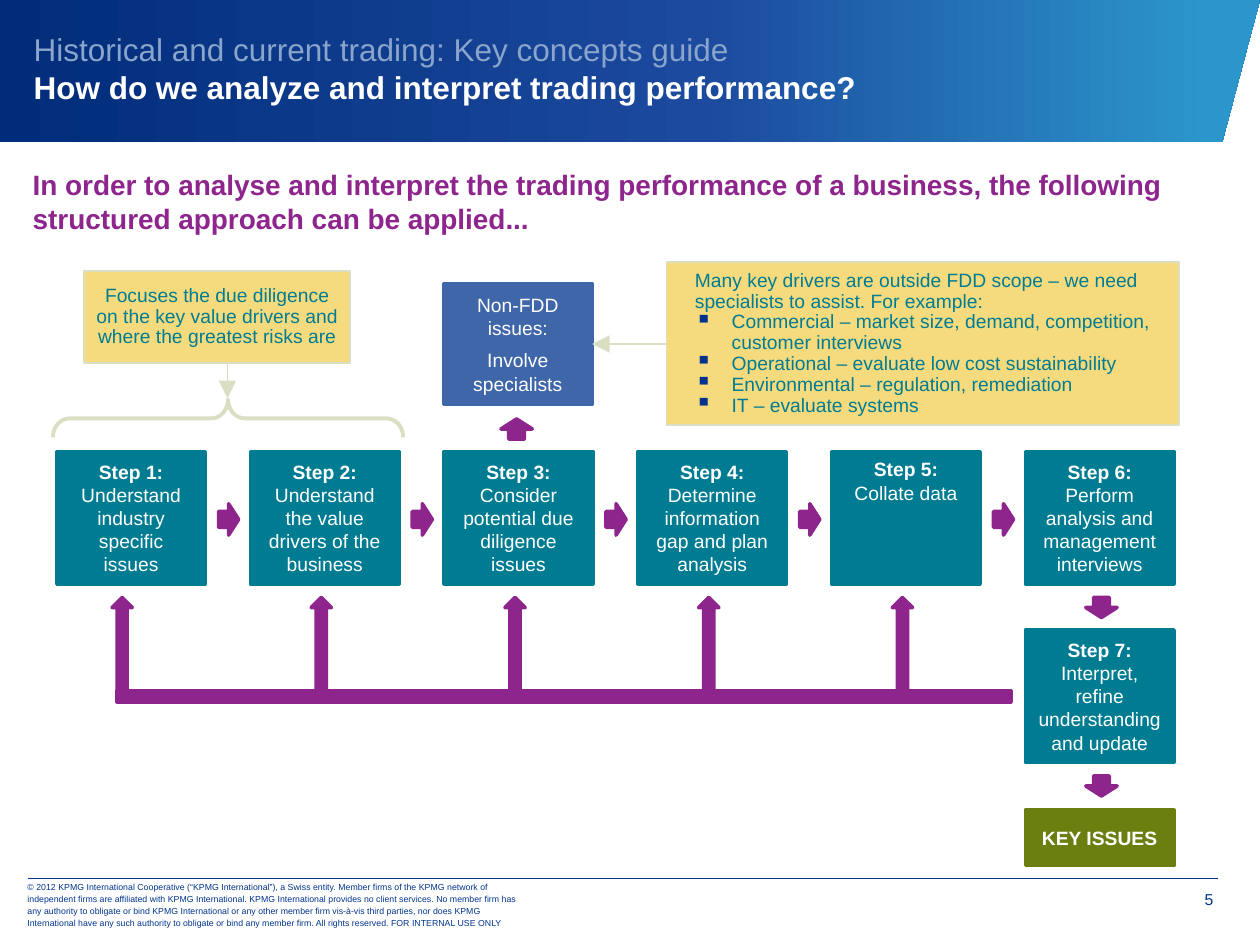
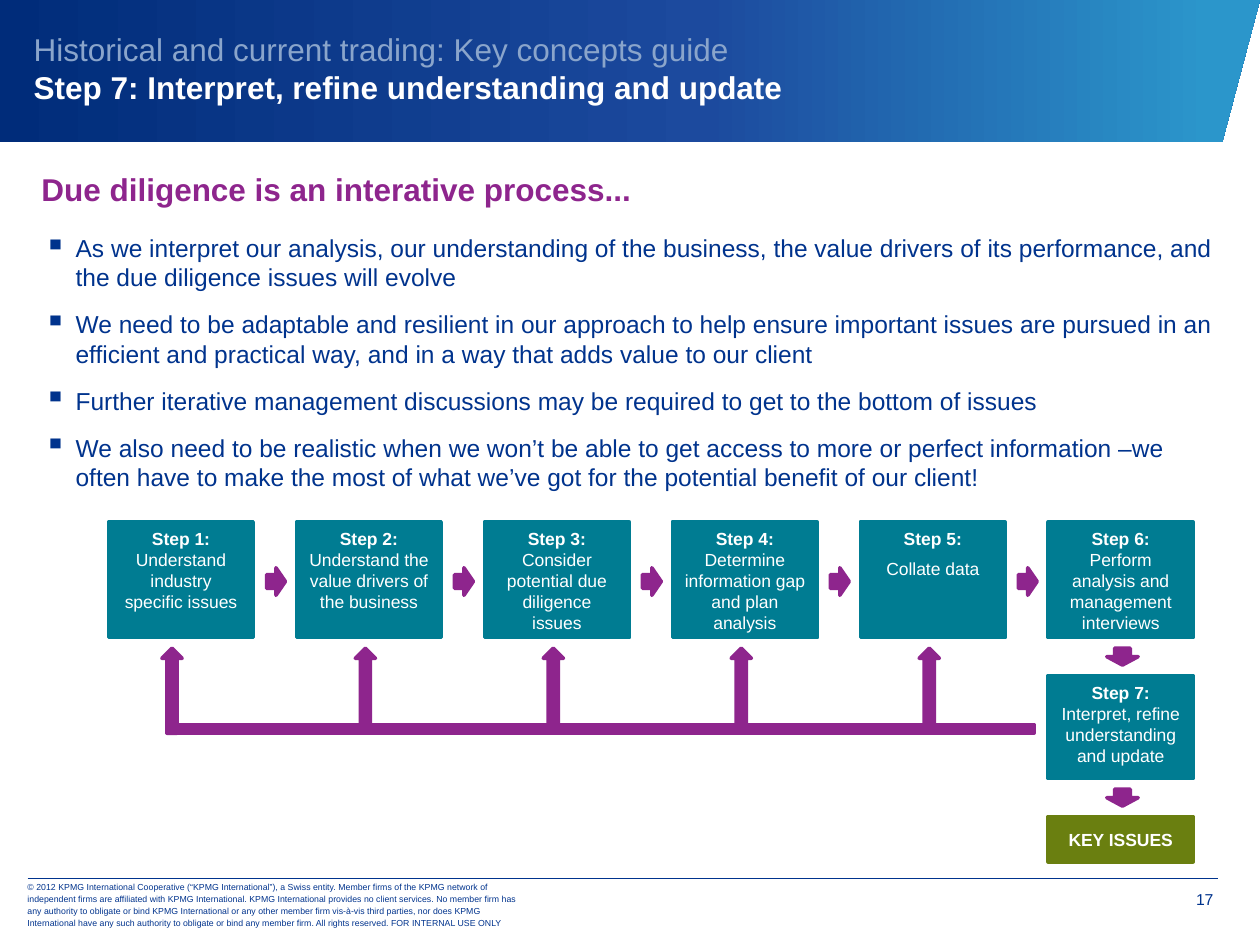
import copy
import dataclasses

import pptx
import pptx.dml.color
import pptx.enum.shapes
import pptx.enum.text
import pptx.oxml
import pptx.oxml.ns
import pptx.util

Pt = pptx.util.Pt
Shape = pptx.enum.shapes.MSO_SHAPE
Anchor = pptx.enum.text.MSO_ANCHOR
Align = pptx.enum.text.PP_ALIGN
qn = pptx.oxml.ns.qn

SECTION = "Historical and current trading: Key concepts guide"
COPYRIGHT = (
    "© 2012 KPMG International Cooperative (“KPMG International”), a Swiss entity. "
    "Member firms of the KPMG network of independent firms are affiliated with KPMG "
    "International. KPMG International provides no client services. No member firm has any "
    "authority to obligate or bind KPMG International or any other member firm vis-à-vis third "
    "parties, nor does KPMG International have any such authority to obligate or bind any "
    "member firm. All rights reserved. FOR INTERNAL USE ONLY"
)
STEPS = [
    "Understand industry specific issues",
    "Understand the value drivers of the business",
    "Consider potential due diligence issues",
    "Determine information gap and plan analysis",
    "Collate data",
    "Perform analysis and management interviews",
    "Interpret, refine understanding and update",
]
DRIVERS = [
    "Many key drivers are outside FDD scope – we need specialists to assist. For example:",
    "Commercial – market size, demand, competition, customer interviews",
    "Operational – evaluate low cost sustainability",
    "Environmental – regulation, remediation",
    "IT – evaluate systems",
]
ITERATION_POINTS = [
    "As we interpret our analysis, our understanding of the business, the value drivers of its "
    "performance, and the due diligence issues will evolve",
    "We need to be adaptable and resilient in our approach to help ensure important issues are "
    "pursued in an efficient and practical way, and in a way that adds value to our client",
    "Further iterative management discussions may be required to get to the bottom of issues",
    "We also need to be realistic when we won’t be able to get access to more or perfect "
    "information –we often have to make the most of what we’ve got for the potential benefit "
    "of our client!",
]


@dataclasses.dataclass(frozen=True)
class Theme:
    font: str = "Arial"
    navy: str = "00338D"
    purple: str = "8E258D"
    teal: str = "007C92"
    blue: str = "4066AA"
    olive: str = "6A7F10"
    yellow: str = "F5DB7E"
    sage: str = "DADFC3"
    pale: str = "8AA5CB"
    white: str = "FFFFFF"
    band: tuple = ((0, "002C7A"), (0.56, "1C4A9E"), (0.96, "2B96CB"))
    title: float = 18
    lead: float = 16
    body: float = 14
    note: float = 11
    compact: float = 10
    page: float = 9
    legal: float = 5


@dataclasses.dataclass(frozen=True)
class Flow:
    """Measures of the seven-step diagram, in points."""
    left: float
    pitch: float
    top: float
    width: float
    height: float
    arrow: tuple       # width and height of the arrow between two steps
    down: float        # height of the arrows in the last column
    down_gap: float
    bus_top: float
    bus_height: float
    last_top: float
    last_height: float
    result_top: float
    result_height: float
    size: float
    anchor: Anchor
    collate_break: str  # "\v" for a new line, "\n" for a new paragraph


def rgb(value):
    return pptx.dml.color.RGBColor.from_string(value)


class Deck:
    def __init__(self, theme):
        self.theme = theme
        self.presentation = pptx.Presentation()
        self.presentation.slide_width = Pt(720)
        self.presentation.slide_height = Pt(540)
        self.slide = None

    def new_slide(self, heading, page):
        t = self.theme
        self.slide = self.presentation.slides.add_slide(self.presentation.slide_layouts[6])
        self.band()
        self.text(653.8, 502.6, 39.6, 22.3, page, t.page, t.navy, align=Align.RIGHT,
                  margins=(5.8, 5.8, 0, 0))
        self.text(8.6, 504, 298.8, 25.2, COPYRIGHT, t.legal, t.navy, anchor=Anchor.MIDDLE,
                  line_spacing=Pt(7))
        self.line((15.8, 501.8), (696.2, 501.8), t.navy, 0.25)
        title = self.text(12.2, 0, 707.8, 77.8, f"{SECTION}\v{heading}", t.title, t.pale,
                          anchor=Anchor.MIDDLE)
        self.emphasise(title.paragraphs[0].runs[1], t.white, True)

    def band(self):
        corners = [(0, 0), (720, 0), (698.4, 81.4), (0, 81.4)]
        start, *others = [(Pt(x), Pt(y)) for x, y in corners]
        builder = self.slide.shapes.build_freeform(*start)
        builder.add_line_segments(others, close=True)
        band = builder.convert_to_shape()
        band.shadow.inherit = False
        band.line.fill.background()
        band.fill.gradient()
        band.fill.gradient_angle = 0
        stops = next(band.element.iter(qn("a:gsLst")))
        stops.append(copy.deepcopy(stops[-1]))
        for stop, (position, color) in zip(band.fill.gradient_stops, self.theme.band):
            stop.position = position
            stop.color.rgb = rgb(color)

    def emphasise(self, run, color, bold):
        run.font.color.rgb = rgb(color)
        run.font.bold = bold

    def set_text(self, frame, text, size, color, bold=False, align=Align.LEFT,
                 anchor=Anchor.TOP, margins=(7.2, 3.6, 7.2, 3.6), before=0, after=0,
                 line_spacing=None, bullets=None, indent=18):
        """Fill a frame; bullets is the index of the first bulleted paragraph."""
        frame.word_wrap = True
        frame.vertical_anchor = anchor
        (frame.margin_left, frame.margin_top,
         frame.margin_right, frame.margin_bottom) = map(Pt, margins)
        frame.text = text
        for index, paragraph in enumerate(frame.paragraphs):
            if bullets is not None and index >= bullets:
                self.bullet(paragraph, indent)
            paragraph.alignment = align
            paragraph.space_before = Pt(before if index else 0)
            paragraph.space_after = Pt(after)
            if line_spacing:
                paragraph.line_spacing = line_spacing
            for run in paragraph.runs:
                run.font.name = self.theme.font
                run.font.size = Pt(size)
                self.emphasise(run, color, bold)
        return frame

    def bullet(self, paragraph, indent):
        properties = paragraph._p.get_or_add_pPr()
        properties.set("marL", str(Pt(indent)))
        properties.set("indent", str(-Pt(indent)))
        color = pptx.oxml.parse_xml(
            '<a:buClr xmlns:a="http://schemas.openxmlformats.org/drawingml/2006/main">'
            f'<a:srgbClr val="{self.theme.navy}"/></a:buClr>')
        properties.append(color)
        for tag, name, value in (("a:buSzPct", "val", "125000"), ("a:buChar", "char", "▪")):
            properties.append(properties.makeelement(qn(tag), {name: value}))

    def text(self, left, top, width, height, text, size, color, **style):
        box = self.slide.shapes.add_textbox(Pt(left), Pt(top), Pt(width), Pt(height))
        return self.set_text(box.text_frame, text, size, color, **style)

    def shape(self, kind, left, top, width, height, fill, outline=None, weight=2):
        shape = self.slide.shapes.add_shape(kind, Pt(left), Pt(top), Pt(width), Pt(height))
        shape.shadow.inherit = False
        if fill:
            shape.fill.solid()
            shape.fill.fore_color.rgb = rgb(fill)
        else:
            shape.fill.background()
        shape.line.color.rgb = rgb(outline or fill)
        shape.line.width = Pt(weight)
        return shape

    def box(self, left, top, width, height, fill, text, size, anchor=Anchor.MIDDLE, bold=False):
        box = self.shape(Shape.RECTANGLE, left, top, width, height, fill)
        return self.set_text(box.text_frame, text, size, self.theme.white, bold=bold,
                             align=Align.CENTER, anchor=anchor, before=size / 2)

    def note(self, left, top, width, height, text, **style):
        t = self.theme
        note = self.shape(Shape.RECTANGLE, left, top, width, height, t.yellow, t.sage, 1)
        self.set_text(note.text_frame, text, t.note, t.teal, anchor=Anchor.MIDDLE,
                      line_spacing=0.9, **style)

    def arrow(self, kind, left, top, width, height):
        self.shape(kind, left, top, width, height, self.theme.purple)

    def line(self, start, end, color, weight, head=False):
        line = self.slide.shapes.add_connector(
            pptx.enum.shapes.MSO_CONNECTOR.STRAIGHT, *map(Pt, start + end))
        line.line.color.rgb = rgb(color)
        line.line.width = Pt(weight)
        properties = line.element.spPr
        if head:
            outline = properties.find(qn("a:ln"))
            outline.append(outline.makeelement(
                qn("a:tailEnd"), {"type": "triangle", "w": "lg", "len": "lg"}))
        properties.append(properties.makeelement(qn("a:effectLst"), {}))

    def step(self, number, left, top, height, flow):
        collate = number == 5
        gap = flow.collate_break if collate else "\v"
        frame = self.box(left, top, flow.width, height, self.theme.teal,
                         f"Step {number}:{gap}{STEPS[number - 1]}", flow.size,
                         Anchor.TOP if collate else flow.anchor)
        frame.paragraphs[0].runs[0].font.bold = True

    def flow(self, flow):
        columns = [flow.left + flow.pitch * i for i in range(6)]
        last = columns[-1]
        for number, left in enumerate(columns, 1):
            self.step(number, left, flow.top, flow.height, flow)
        self.step(7, last, flow.last_top, flow.last_height, flow)
        self.box(last, flow.result_top, flow.width, flow.result_height, self.theme.olive,
                 "KEY ISSUES", flow.size, bold=True)

        width, height = flow.arrow
        for left in columns[:-1]:
            self.arrow(Shape.RIGHT_ARROW, left + flow.width + 7.5,
                       flow.top + (flow.height - height) / 2 + 1, width, height)
        for bottom in (flow.top + flow.height, flow.last_top + flow.last_height):
            self.arrow(Shape.DOWN_ARROW, last + flow.width / 2 - 8, bottom + flow.down_gap,
                       18, flow.down)

        # The feedback bar returns from step 7 to each of the first five steps.
        bar_left = columns[0] + flow.width / 2 - 8
        self.shape(Shape.RECTANGLE, bar_left, flow.bus_top, last - 8 - bar_left,
                   flow.bus_height, self.theme.purple)
        tip = flow.top + flow.height + flow.down_gap
        for index, left in enumerate(columns[:5]):
            center = left + flow.width / 2 - 2 if index else bar_left + 2.9
            end = flow.bus_top if index else flow.bus_top + flow.bus_height
            self.arrow(Shape.UP_ARROW, center - 5.8, tip, 11.6, end - tip)


def approach_slide(deck):
    t = deck.theme
    deck.new_slide("How do we analyze and interpret trading performance?", "5")
    deck.text(18.7, 95.8, 679.7, 36, "In order to analyse and interpret the trading performance "
              "of a business, the following structured approach can be applied...",
              t.lead, t.purple, bold=True, margins=(0, 0, 0, 0))
    deck.flow(Flow(left=32.4, pitch=110.7, top=258, width=85, height=75.6, arrow=(11.5, 18),
                   down=11.5, down_gap=7.8, bus_top=394.6, bus_height=6.5, last_top=360,
                   last_height=75.6, result_top=463, result_height=31.7, size=t.note,
                   anchor=Anchor.MIDDLE, collate_break="\v"))
    deck.arrow(Shape.UP_ARROW, 286.2, 239.4, 18, 11.5)
    deck.box(253.4, 162, 85, 69.1, t.blue, "Non-FDD issues:\nInvolve specialists", t.note)
    brace = deck.shape(Shape.LEFT_BRACE, 119.5, 139, 21.6, 200.2, None, t.sage, 2.25)
    brace.rotation = 90
    brace.adjustments[0] = 0.44
    brace.adjustments[1] = 0.5
    deck.line((380.9, 196.6), (338.4, 196.6), t.sage, 1, head=True)
    deck.note(380.9, 149.8, 293, 92.9, "\n".join(DRIVERS), bullets=1, indent=21,
              margins=(16.2, 4.5, 4.5, 4.5))
    deck.line((130, 207.4), (130, 227.5), t.sage, 1, head=True)
    deck.note(48.2, 154.8, 151.9, 52.6, "Focuses the due diligence on the key value drivers "
              "and where the greatest risks are", align=Align.CENTER, margins=(4.5,) * 4)


def iteration_slide(deck):
    t = deck.theme
    deck.new_slide("Step 7: Interpret, refine understanding and update", "17")
    deck.text(16.6, 93.6, 681.1, 28.8, "Due diligence is an interative process...",
              t.title, t.purple, bold=True)
    deck.text(25.2, 133.2, 673.2, 150, "\n".join(ITERATION_POINTS), t.body, t.navy, bullets=0,
              margins=(0, 0, 0, 0), before=7, after=3)
    deck.flow(Flow(left=62, pitch=107.4, top=298.2, width=82.8, height=66.2, arrow=(10.8, 15.8),
                   down=9.7, down_gap=6, bus_top=414, bus_height=5, last_top=386,
                   last_height=59, result_top=466.6, result_height=25.9, size=t.compact,
                   anchor=Anchor.TOP, collate_break="\n"))


def main():
    deck = Deck(Theme())
    approach_slide(deck)
    iteration_slide(deck)
    deck.presentation.save("out.pptx")


if __name__ == "__main__":
    main()
